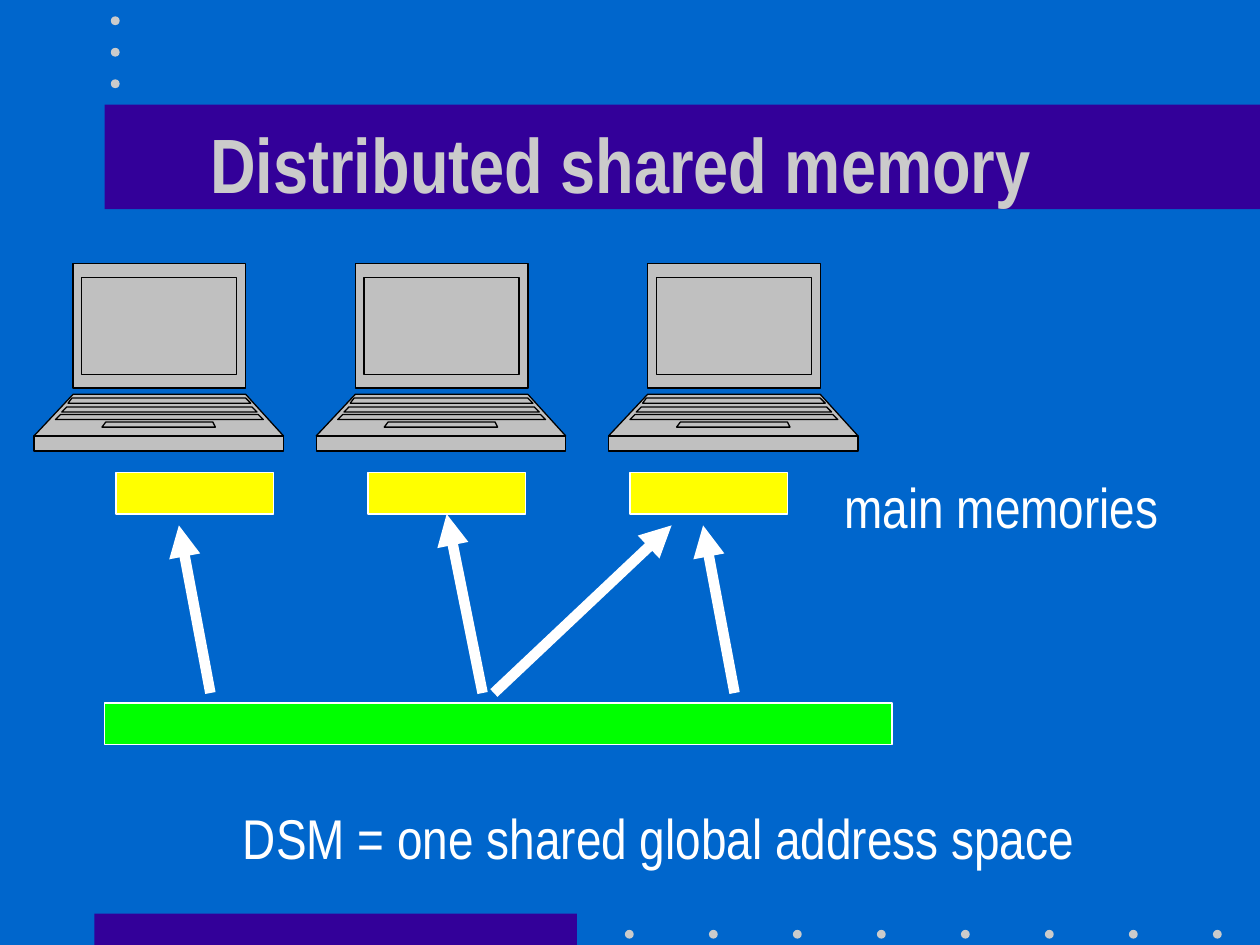
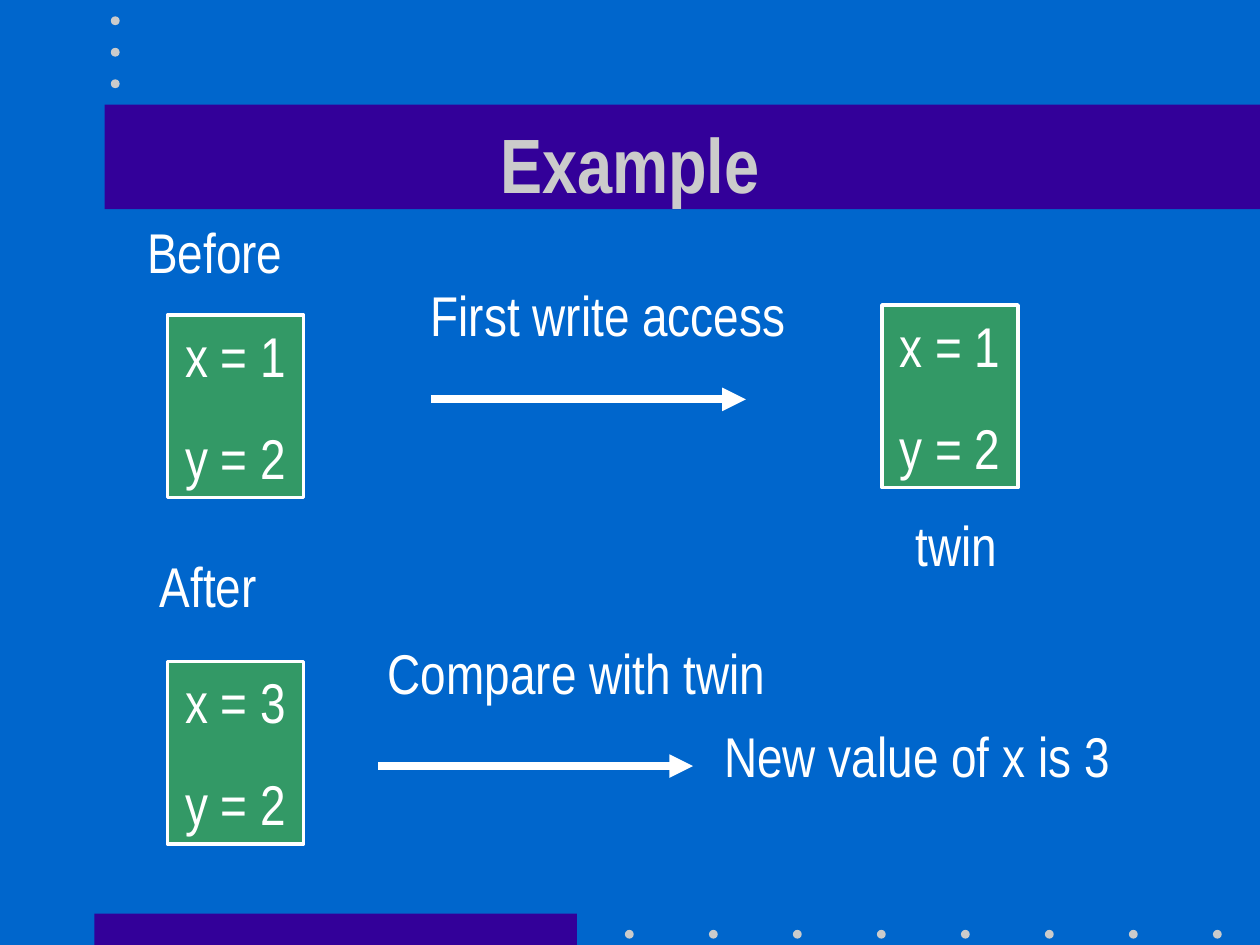
from dataclasses import dataclass

from lxml import etree
from pptx import Presentation
from pptx.dml.color import RGBColor
from pptx.enum.shapes import MSO_CONNECTOR, MSO_SHAPE
from pptx.enum.text import MSO_ANCHOR, MSO_AUTO_SIZE, PP_ALIGN
from pptx.oxml.ns import qn
from pptx.util import Inches, Pt

RECTANGLE, OVAL = MSO_SHAPE.RECTANGLE, MSO_SHAPE.OVAL
STRAIGHT = MSO_CONNECTOR.STRAIGHT
TOP, MIDDLE = MSO_ANCHOR.TOP, MSO_ANCHOR.MIDDLE
LEFT, CENTER = PP_ALIGN.LEFT, PP_ALIGN.CENTER
NO_AUTOFIT = MSO_AUTO_SIZE.NONE
BOTTOM_SITE = 2
TITLE_ONLY = 5


@dataclass(frozen=True)
class Theme:
    background: str = "0066CC"
    band: str = "330099"
    accent: str = "CBCBCB"
    text: str = "FFFFFF"
    memory: str = "FFFF00"
    shared: str = "00FF00"
    page: str = "339966"
    laptop: str = "C0C0C0"
    outline: str = "000000"
    font: str = "Arial Narrow"
    title_size: int = 44
    text_size: int = 32
    line_gap: int = 20


THEME = Theme()
TITLE_FONT = {"name": THEME.font, "size": Pt(THEME.title_size), "bold": True}
TEXT_FONT = {"name": THEME.font, "size": Pt(THEME.text_size), "bold": False}

# Laptop outlines: top, bottom, left and right at the top, left and right at the bottom
LAPTOP_PARTS = [
    (0, 0.99, 0.31, 1.68, 0.31, 1.68),     # lid
    (1.04, 1.37, 0.31, 1.68, 0, 1.98),     # keyboard deck
    (1.37, 1.49, 0, 1.98, 0, 1.98),        # front edge
    (0.11, 0.88, 0.38, 1.61, 0.38, 1.61),  # screen
    (1.07, 1.11, 0.3, 1.68, 0.27, 1.72),   # key rows
    (1.14, 1.18, 0.26, 1.73, 0.22, 1.77),
    (1.2, 1.24, 0.21, 1.78, 0.17, 1.82),
    (1.26, 1.3, 0.57, 1.42, 0.54, 1.44),   # space bar
]


def color(value):
    return RGBColor.from_string(value)


def apply_format(target, values):
    for name, value in values.items():
        setattr(target, name, value)


def paint(shape, fill, line=None, width=1):
    shape.shadow.inherit = False
    shape.fill.solid()
    shape.fill.fore_color.rgb = color(fill)
    if line:
        shape.line.color.rgb = color(line)
        shape.line.width = Pt(width)
    else:
        shape.line.fill.background()


def add_box(slide, box, fill, line=None, width=1, kind=RECTANGLE):
    shape = slide.shapes.add_shape(kind, *map(Inches, box))
    paint(shape, fill, line, width)
    return shape


def write(shape, lines, font=TEXT_FONT, font_color=THEME.text,
          align=LEFT, anchor=TOP, wrap=True):
    frame = shape.text_frame
    apply_format(frame, {"word_wrap": wrap, "auto_size": NO_AUTOFIT,
                         "vertical_anchor": anchor})
    frame.text = "\n".join(lines)
    for index, paragraph in enumerate(frame.paragraphs):
        paragraph.alignment = align
        paragraph.space_before = Pt(THEME.line_gap if index else 0)
        apply_format(paragraph.font, font)
        paragraph.font.color.rgb = color(font_color)


def add_label(slide, text, left, top, width, align=LEFT, wrap=False):
    label = slide.shapes.add_textbox(*map(Inches, (left, top, width, 0.64)))
    write(label, [text], align=align, wrap=wrap)


def add_arrow(slide, start, end, width):
    arrow = slide.shapes.add_connector(STRAIGHT, *map(Inches, (*start, *end)))
    arrow.line.color.rgb = color(THEME.text)
    arrow.line.width = Pt(width)
    line = arrow.line._get_or_add_ln()
    etree.SubElement(line, qn("a:tailEnd"), type="triangle")
    etree.SubElement(arrow._element.spPr, qn("a:effectLst"))
    return arrow


def add_decoration(slide):
    # Bands behind the title and at the foot
    add_box(slide, (0.75, 7.25, 3.83, 0.25), THEME.band)
    add_box(slide, (0.83, 0.83, 9.17, 0.83), THEME.band)
    # Dots along the foot and above the title
    dots = [(4.96 + column * 2 / 3, 7.38) for column in range(8)]
    dots += [(0.88, 0.13 + row * 0.25) for row in range(3)]
    for left, top in dots:
        add_box(slide, (left, top, 0.07, 0.07), THEME.accent, kind=OVAL)


def add_titled_slide(presentation, text):
    slide = presentation.slides.add_slide(presentation.slide_layouts[TITLE_ONLY])
    add_decoration(slide)
    title = slide.shapes.title
    apply_format(title, {"left": Inches(0.75), "top": Inches(0.67),
                         "width": Inches(8.5), "height": Inches(1.25)})
    write(title, [text], TITLE_FONT, THEME.accent, CENTER, MIDDLE)
    # Bring the title in front of its band
    title.element.getparent().append(title.element)
    return slide


def add_laptop(slide, left, top):
    laptop = slide.shapes.add_group_shape()
    for upper, lower, left_top, right_top, left_bottom, right_bottom in LAPTOP_PARTS:
        corners = [(left_top, upper), (right_top, upper),
                   (right_bottom, lower), (left_bottom, lower)]
        points = [(Inches(left + x), Inches(top + y)) for x, y in corners]
        builder = laptop.shapes.build_freeform(*points[0])
        builder.add_line_segments(points[1:], close=True)
        paint(builder.convert_to_shape(), THEME.laptop, THEME.outline, 0.75)


def add_page(slide, left, top, lines):
    page = add_box(slide, (left, top, 1.08, 1.45), THEME.page, THEME.text, 2)
    write(page, lines, align=CENTER)


def add_step(slide, text, left, top, text_offset, text_width):
    """Arrow with the action written above it."""
    add_label(slide, text, left + text_offset[0], top + text_offset[1], text_width)
    add_arrow(slide, (left, top), (left + 2.5, top), 4.5)


def build_memory_slide(presentation):
    slide = add_titled_slide(presentation, "Distributed shared memory ")
    # Main memories and the shared address space
    memories = [add_box(slide, (left, 3.75, 1.25, 0.33), THEME.memory, THEME.text)
                for left in (0.92, 2.92, 5)]
    add_box(slide, (0.83, 5.58, 6.25, 0.33), THEME.shared, THEME.text)
    add_label(slide, "main memories", 6.41, 3.7, 3.08, CENTER, wrap=True)
    add_label(slide, "DSM = one shared global address space", 1.83, 6.33, 7.02, wrap=True)
    # Mapping of shared pages to memories
    for start, end in ((1.67, 1.42), (5.83, 5.58), (3.92, 5.33)):
        add_arrow(slide, (start, 5.5), (end, 4.17), 6)
    joined = add_arrow(slide, (3.83, 5.5), (3.58, 4.08), 6)
    joined.end_connect(memories[1], BOTTOM_SITE)
    # Machines
    for left in (0.27, 2.51, 4.83):
        add_laptop(slide, left, 2.09)


def build_example_slide(presentation):
    slide = add_titled_slide(presentation, "Example")
    # Page contents before and after the write, and the twin
    add_page(slide, 1.33, 2.5, ["x = 1", "y = 2"])
    add_page(slide, 7, 2.42, ["x = 1", "y = 2"])
    add_page(slide, 1.33, 5.25, ["x = 3", "y = 2"])
    # Captions
    for caption in (("Before", 1.07, 1.68, 1.27), ("After", 1.17, 4.33, 0.97),
                    ("twin", 7.17, 4, 0.85),
                    ("New value of x is 3", 5.65, 5.68, 3.26)):
        add_label(slide, *caption)
    # Steps
    add_step(slide, "First write access", 3.42, 3.17, (-0.1, -0.99), 3.02)
    add_step(slide, "Compare with twin", 3, 6.08, (-0.02, -1.06), 3.2)


def main():
    presentation = Presentation()
    presentation.slide_width = Inches(10)
    presentation.slide_height = Inches(7.5)
    background = presentation.slide_master.background.fill
    background.solid()
    background.fore_color.rgb = color(THEME.background)
    build_memory_slide(presentation)
    build_example_slide(presentation)
    presentation.save("out.pptx")


if __name__ == "__main__":
    main()
